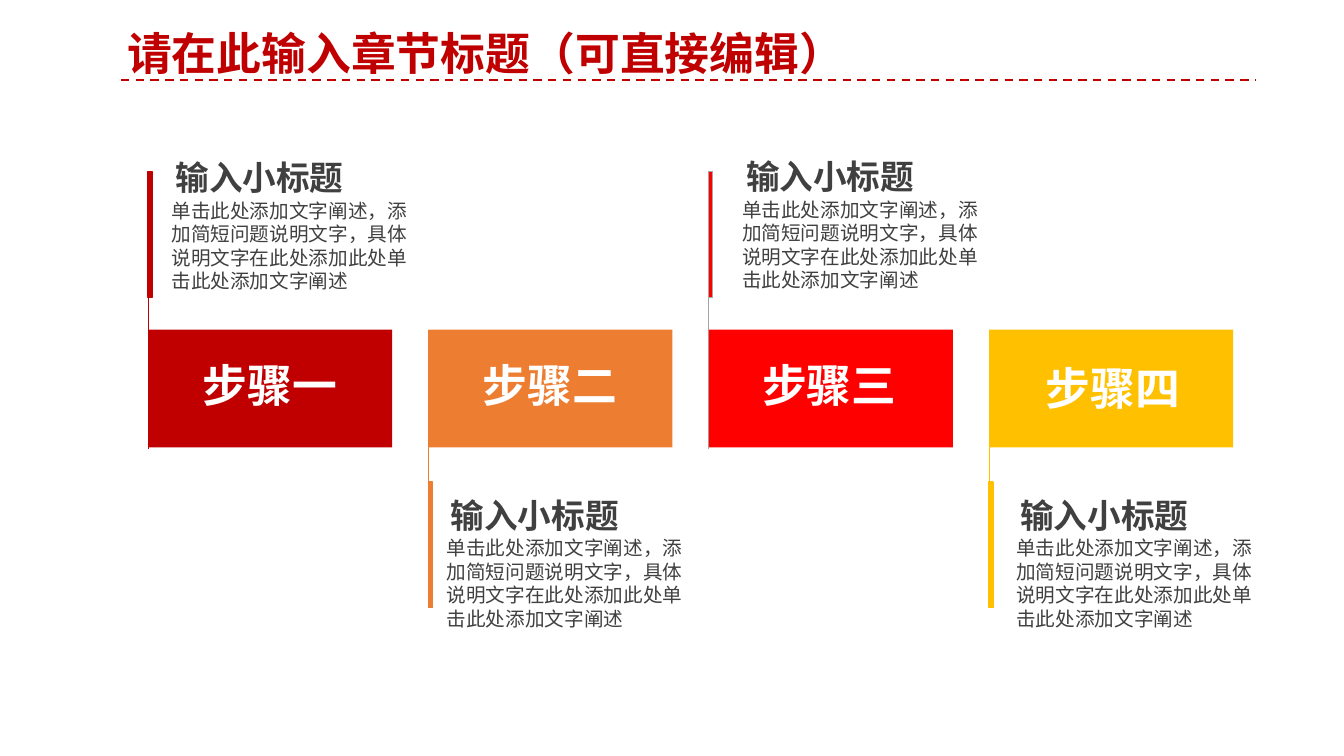
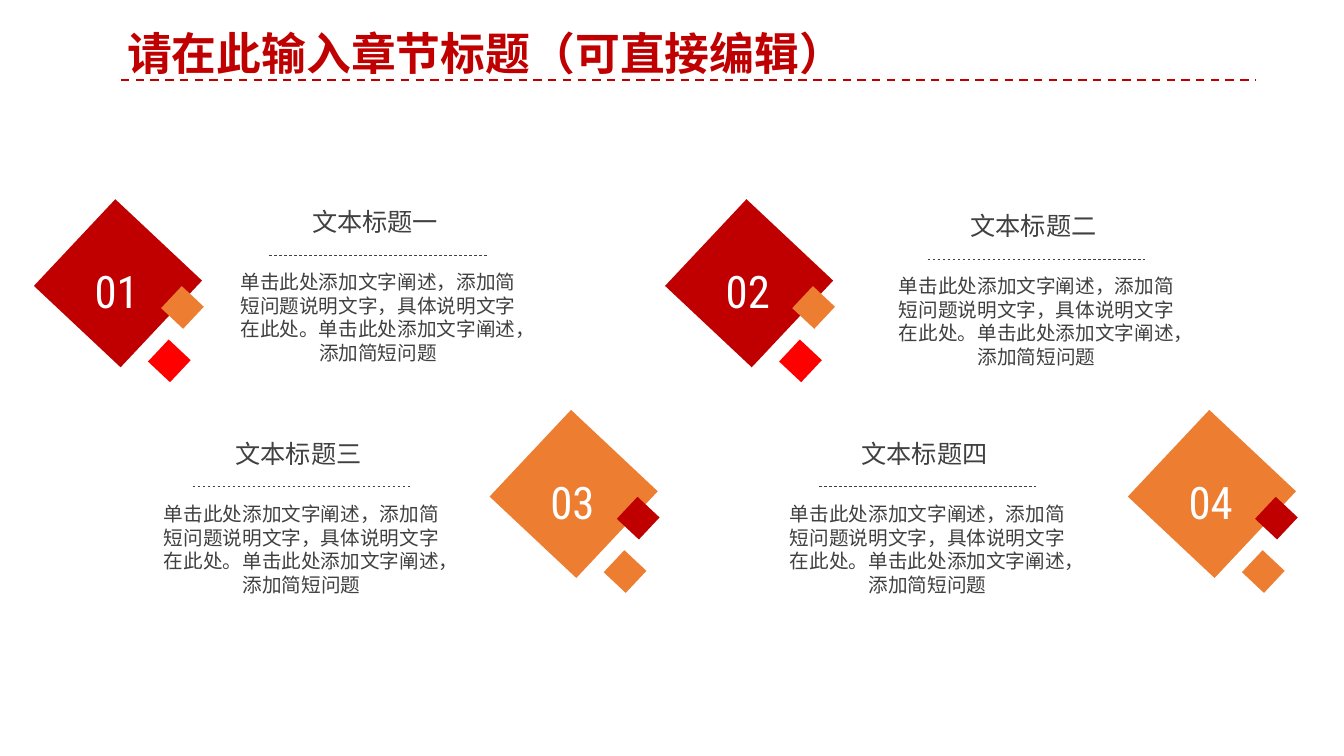
from dataclasses import dataclass

from pptx import Presentation
from pptx.dml.color import RGBColor
from pptx.enum.dml import MSO_LINE
from pptx.enum.shapes import MSO_CONNECTOR, MSO_SHAPE
from pptx.enum.text import MSO_ANCHOR, MSO_AUTO_SIZE, PP_ALIGN
from pptx.oxml.ns import qn
from pptx.slide import Slide
from pptx.text.text import TextFrame
from pptx.util import Pt

PX = 9144  # EMU in one px, 100 px to the inch
DASH = MSO_LINE.DASH
STRAIGHT = MSO_CONNECTOR.STRAIGHT
RECT = MSO_SHAPE.RECTANGLE
TOP = MSO_ANCHOR.TOP
FIXED = MSO_AUTO_SIZE.NONE
LEFT, MID, JUST = PP_ALIGN.LEFT, PP_ALIGN.CENTER, PP_ALIGN.JUSTIFY

HUES = {
    "dark": "C00000",
    "red": "FF0000",
    "orange": "ED7D31",
    "gold": "FFC000",
    "gray": "A5A5A5",
    "ink": "404040",
    "white": "FFFFFF",
}
SANS, NOTO_SC, NOTO_JP = "Arial", "Noto Sans CJK SC", "Noto Sans CJK JP"
DIGIT = "Roboto Condensed"
TITLE = "请在此输入章节标题（可直接编辑）"
SUBHEAD = "输入小标题"
STEP_TEXT = "单击此处添加文字阐述，添加简短问题说明文字，具体说明文字在此处添加此处单击此处添加文字阐述"
CARD_TEXT = "单击此处添加文字阐述，添加简短问题说明文字，具体说明文字在此处。单击此处添加文字阐述，添加简短问题"


@dataclass(frozen=True)
class Style:
    size: int
    font: str
    hue: str = "ink"
    bold: bool = False
    align: PP_ALIGN = LEFT
    pitch: float = 0  # points; 0 means 1.2 times the size
    pad: tuple[int, int] = (10, 5)
    wrap: bool = True


HEAD = Style(32, SANS, "dark", True)
LABEL = Style(32, NOTO_JP, "white", True, JUST, 20.5, wrap=False)
SUB = Style(24, NOTO_SC, bold=True, pitch=36, pad=(17, 0))
NOTE = Style(14, NOTO_SC, pad=(17, 0))
NUMBER = Style(32, DIGIT, "white")
NAME = Style(18, SANS, align=MID, pad=(13, 7))
BODY = Style(14, NOTO_JP, align=MID, pad=(13, 7))


@dataclass(frozen=True)
class Step:
    label: str
    spot: tuple[int, int]  # label corner
    note: tuple[int, int]  # subhead corner
    hue: str
    edge: str
    up: bool


@dataclass(frozen=True)
class Card:
    number: str
    name: str
    gem: tuple[int, int]  # large diamond corner
    text: tuple[int, int]  # body text corner
    hues: tuple[str, str, str]  # large, lower, upper diamond


STEPS = [
    Step("步骤一", (191, 375), (157, 146), "dark", "dark", True),
    Step("步骤二", (469, 375), (430, 481), "orange", "orange", False),
    Step("步骤三", (746, 375), (723, 145), "red", "gray", True),
    Step("步骤四", (1027, 378), (995, 481), "gold", "gold", False),
]
WARM = ("dark", "red", "orange")
PALE = ("orange", "orange", "dark")
CARDS = [
    Card("01", "文本标题一", (58, 222), (223, 261), WARM),
    Card("02", "文本标题二", (684, 222), (876, 265), WARM),
    Card("03", "文本标题三", (510, 431), (147, 491), PALE),
    Card("04", "文本标题四", (1143, 431), (768, 491), PALE),
]


def color(hue: str) -> RGBColor:
    return RGBColor.from_string(HUES[hue])


def write(frame: TextFrame, text: str, style: Style) -> None:
    frame.word_wrap = style.wrap
    frame.auto_size = FIXED
    frame.vertical_anchor = TOP
    frame.margin_left = frame.margin_right = style.pad[0] * PX
    frame.margin_top = frame.margin_bottom = style.pad[1] * PX
    para = frame.paragraphs[0]
    para.alignment = style.align
    para.space_before = Pt(0)
    para.line_spacing = Pt(style.pitch or 1.2 * style.size)
    run = para.add_run()
    run.text = text
    font = run.font
    font.size, font.bold, font.name = Pt(style.size), style.bold, style.font
    font.color.rgb = color(style.hue)
    # East Asian face
    face = run._r.get_or_add_rPr().makeelement(qn("a:ea"), {})
    face.set("typeface", style.font if style.font == NOTO_JP else NOTO_SC)
    run._r.rPr.find(qn("a:latin")).addnext(face)


def put(slide: Slide, x: int, y: int, w: int, h: int,
        text: str, style: Style) -> None:
    box = slide.shapes.add_textbox(x * PX, y * PX, w * PX, h * PX)
    write(box.text_frame, text, style)


def rect(slide: Slide, x: int, y: int, w: int, h: int, hue: str,
         edge: str = "", turn: float = 0) -> None:
    shape = slide.shapes.add_shape(RECT, x * PX, y * PX, w * PX, h * PX)
    shape.shadow.inherit = False
    shape.rotation = turn
    shape.fill.solid()
    shape.fill.fore_color.rgb = color(hue)
    if edge:
        shape.line.color.rgb = color(edge)
        shape.line.width = Pt(1)
    else:
        shape.line.fill.background()


def rule(slide: Slide, x: int, y: int, w: int, h: int, hue: str,
         width: float, dash: bool = False) -> None:
    line = slide.shapes.add_connector(
        STRAIGHT, x * PX, y * PX, (x + w) * PX, (y + h) * PX)
    line.line.color.rgb = color(hue)
    line.line.width = Pt(width)
    if dash:
        line.line.dash_style = DASH
    props = line._element.spPr
    props.append(props.makeelement(qn("a:effectLst"), {}))


def start(deck: Presentation) -> Slide:
    """Add a slide with the shared title and dashed rule."""
    slide = deck.slides.add_slide(deck.slide_layouts[5])
    rule(slide, 120, 79, 1126, 0, "dark", 1.5, True)
    title = slide.shapes.title
    title.left, title.top = 116 * PX, 20 * PX
    title.width, title.height = 779 * PX, 64 * PX
    write(title.text_frame, TITLE, HEAD)
    return slide


def draw_step(slide: Slide, x: int, step: Step) -> None:
    # Stem and bar, then the block over the stem
    rule(slide, x, 170 if step.up else 327, 0, 275, step.edge, 0.5)
    rect(slide, x, 170 if step.up else 478, 4, 125, step.hue, step.edge)
    rect(slide, x, 327, 242, 117, step.hue)
    put(slide, *step.spot, 155, 40, step.label, LABEL)
    # Subhead and note
    left, top = step.note
    put(slide, left, top, 294, 42, SUBHEAD, SUB)
    put(slide, left - 4, top + 51, 272, 82, STEP_TEXT, NOTE)


def draw_card(slide: Slide, card: Card) -> None:
    # Diamonds and number
    x, y = card.gem
    gems = [(0, 0, 118), (95, 121, 30), (108, 68, 30)]
    for (dx, dy, side), hue in zip(gems, card.hues):
        rect(slide, x + dx, y + dy, side, side, hue, turn=313.2)
    put(slide, x + 26, y + 35, 70, 64, card.number, NUMBER)
    # Name, rule and text
    x, y = card.text
    put(slide, x, y, 304, 108, CARD_TEXT, BODY)
    put(slide, x + 24, y - 63, 250, 44, card.name, NAME)
    rule(slide, x + 44, y - 8, 216, 0, "ink", 0.5, True)


def main() -> None:
    deck = Presentation()
    deck.slide_width, deck.slide_height = 1333 * PX, 750 * PX

    # Four steps
    slide = start(deck)
    for i, step in enumerate(STEPS):
        draw_step(slide, 147 + 278 * i, step)

    # Four numbered cards
    slide = start(deck)
    for card in CARDS:
        draw_card(slide, card)

    deck.save("out.pptx")


if __name__ == "__main__":
    main()
